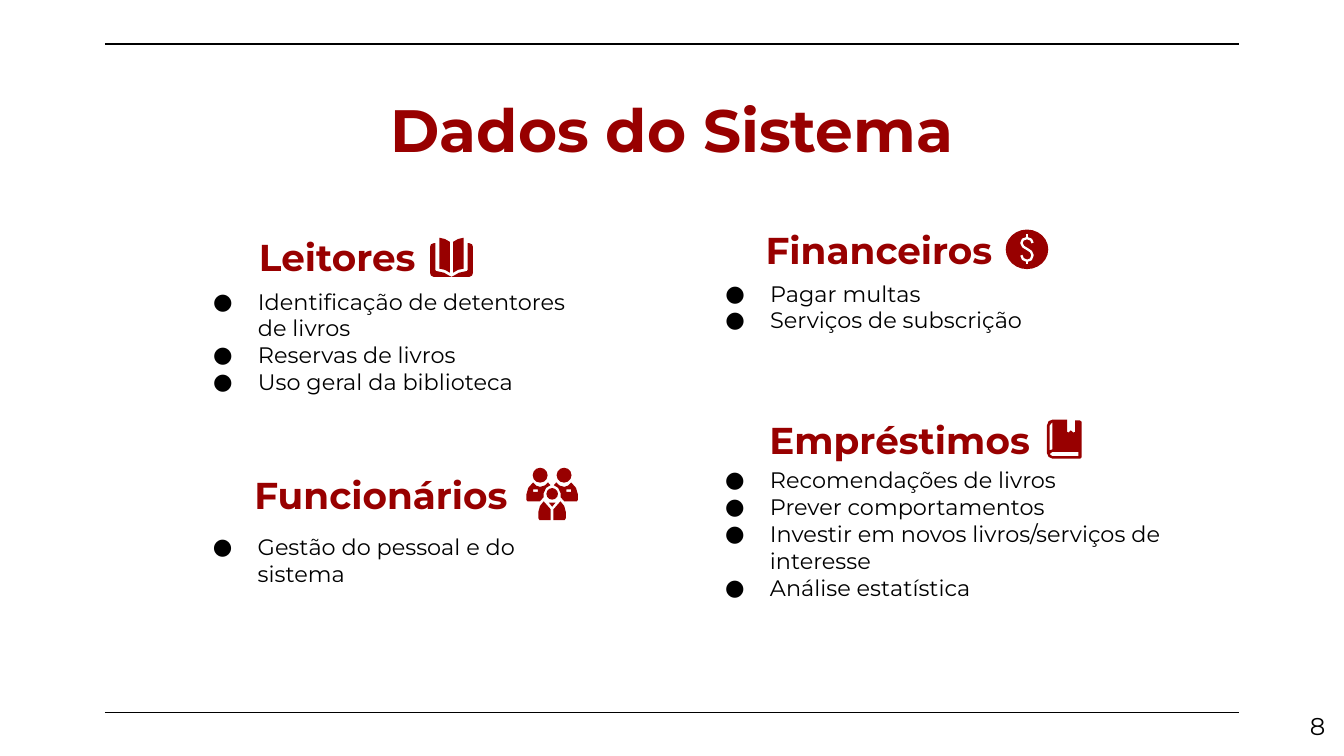
from lxml.etree import SubElement
from pptx import Presentation
from pptx.dml.color import RGBColor
from pptx.enum.shapes import MSO_CONNECTOR, MSO_SHAPE
from pptx.enum.text import MSO_ANCHOR, MSO_AUTO_SIZE, PP_ALIGN
from pptx.oxml.ns import qn
from pptx.util import Pt

COLORS = {"accent": "980000", "ink": "000000", "paper": "FFFFFF"}
FONT = "Montserrat"


def write(box, lines, area, size=12, color="ink", bold=False,
          align=PP_ALIGN.LEFT, anchor=MSO_ANCHOR.TOP, bullet=None):
    box.left, box.top, box.width, box.height = [Pt(value) for value in area]
    frame = box.text_frame
    frame.word_wrap = True
    frame.auto_size = MSO_AUTO_SIZE.NONE
    frame.vertical_anchor = anchor
    frame.margin_left = frame.margin_right = Pt(7.2)
    frame.margin_top = frame.margin_bottom = Pt(7.2)
    frame.text = "\n".join(lines)
    for para in frame.paragraphs:
        para.alignment = align
        para.line_spacing = 1.0
        para.space_before = para.space_after = Pt(0)
        span = para.runs[0]
        span.font.name = FONT
        span.font.size = Pt(size)
        span.font.bold = bold
        span.font.color.rgb = RGBColor.from_string(COLORS[color])
        if bullet:
            props = para._p.get_or_add_pPr()
            props.set("marL", str(Pt(36)))
            props.set("indent", str(Pt(-24)))
            SubElement(SubElement(props, qn("a:buClr")), qn("a:srgbClr"), val=COLORS[color])
            SubElement(props, qn("a:buFont"), typeface=FONT)
            SubElement(props, qn("a:buChar"), char=bullet)


def outline(x, y, contours, side=1, closed=True):
    placed = [[((x + side * dx) * 100, (y + dy) * 100) for dx, dy in contour]
              for contour in contours]
    builder = page.shapes.build_freeform(*placed[0][0], scale=Pt(1) / 100)
    builder.add_line_segments(placed[0][1:], close=closed)
    for contour in placed[1:]:
        builder.move_to(*contour[0])
        builder.add_line_segments(contour[1:], close=closed)
    shape = builder.convert_to_shape()
    shape.shadow.inherit = False
    if closed:
        shape.fill.solid()
        shape.fill.fore_color.rgb = RGBColor.from_string(COLORS["accent"])
        shape.line.fill.background()
    else:
        shape.fill.background()
        shape.line.color.rgb = RGBColor.from_string(COLORS["paper"])
        shape.line.width = Pt(1.25)


deck = Presentation()
deck.slide_width, deck.slide_height = Pt(720), Pt(405)
page = deck.slides.add_slide(deck.slide_layouts[4])

for y in (23.6, 381.6):
    rule = page.shapes.add_connector(MSO_CONNECTOR.STRAIGHT, Pt(56.2), Pt(y), Pt(663.8), Pt(y))
    rule.line.color.rgb = RGBColor.from_string(COLORS["ink"])
    rule.line.width = Pt(0.75)
    SubElement(rule._element.spPr, qn("a:effectLst"))

write(page.shapes.title, ["Dados do Sistema"], (56.2, 42.5, 607.6, 45.4),
      size=32, color="accent", bold=True, align=PP_ALIGN.CENTER)

sections = [
    ("Leitores", (108, 123.8, 145.4, 27.4), (95, 146.9, 221.8, 95),
     ["Identificação de detentores de livros", "Reservas de livros", "Uso geral da biblioteca"]),
    ("Financeiros", (398.2, 120.2, 145.4, 27.4), (369.4, 142.6, 194.4, 67.7),
     ["Pagar multas", "Serviços de subscrição"]),
    ("Funcionários", (126.7, 251.3, 154.8, 27.4), (95, 278.6, 224.6, 67.7),
     ["Gestão do pessoal e do sistema"]),
    ("Empréstimos", (404.6, 220, 154.8, 31), (369.4, 242.6, 275, 72.7),
     ["Recomendações de livros", "Prever comportamentos",
      "Investir em novos livros/serviços de interesse", "Análise estatística"]),
]
boxes = list(page.placeholders)[1:]
boxes += [page.shapes.add_textbox(0, 0, 0, 0) for _ in range(2 * len(sections) - len(boxes))]
for index, (heading, heading_area, list_area, items) in enumerate(sections):
    write(boxes[2 * index], [heading], heading_area, size=20, color="accent", bold=True,
          align=PP_ALIGN.CENTER, anchor=MSO_ANCHOR.MIDDLE)
    write(boxes[2 * index + 1], items, list_area, bullet="●")

write(page.shapes.add_textbox(0, 0, 0, 0), ["8"], (673.9, 373.7, 43.2, 31),
      size=13, align=PP_ALIGN.RIGHT)

book_leaf = [(0.9, 2.2), (3.5, 0.7), (6.5, 0), (6.5, 16.6), (3.5, 17.2), (0.9, 18.7)]
book_cover = [(8.6, 2.9), (9.6, 2.9), (11, 3.5), (11.5, 4.9), (11.5, 18.7), (11, 20.2),
              (9.6, 20.9), (0, 20.9), (1.4, 20.2), (4, 18.7), (7.2, 18), (8.2, 17.8), (8.6, 17.3)]
shoulders = [(0.9, 9.4), (2.2, 7.9), (4, 9.6), (6.5, 10.3), (8.6, 9.6), (10.2, 7.9),
             (12.8, 10.8), (13.8, 14.4), (13.8, 17.3), (13.2, 18), (6.5, 18),
             (4.6, 15.9), (4.6, 13.8), (3.2, 10.8)]
badge = [(7.6, 11.7), (10.2, 11.7), (10.2, 13), (7.6, 13)]
jacket = [(4.5, 18), (6.5, 20.5), (7.4, 23.8), (7.4, 27), (6.7, 28.1), (0.7, 28.1), (0.7, 22.3)]
tie = [(-1.8, 18.7), (1.8, 18.7), (0, 20.9)]
for side in (-1, 1):
    outline(241.9, 127.4, [book_leaf], side)
    outline(241.9, 127.4, [book_cover], side)
    outline(295.8, 250.6, [shoulders, badge], side)
    outline(295.8, 250.6, [jacket], side)
outline(295.8, 250.6, [tie])

closed_book = [(3, 0), (10.8, 0), (10.8, 6.6), (11.6, 7), (12.8, 5.8), (14.2, 7), (15.1, 6.6),
               (15.1, 0.4), (17.6, 0.4), (18.6, 1.2), (18.6, 20.2), (17.9, 20.9), (2.9, 20.9),
               (0.9, 20), (0, 18), (0, 3.2), (0.9, 0.9)]
spine = [(2.9, 1.4), (2.9, 16), (1.4, 16.4), (1.4, 3.2)]
page_edge = [(2.9, 17.3), (16.8, 17.3), (16.8, 19.6), (2.9, 19.6), (1.4, 18.5)]
outline(560.9, 224.8, [closed_book, spine, page_edge])

discs = [(550.2, 133.6, 11.4, 10.6), (295.8, 264.6, 3.1, 3.1),
         (289.4, 254.6, 4, 4), (302.2, 254.6, 4, 4)]
for x, y, radius_x, radius_y in discs:
    disc = page.shapes.add_shape(MSO_SHAPE.OVAL, Pt(x - radius_x), Pt(y - radius_y),
                                 Pt(2 * radius_x), Pt(2 * radius_y))
    disc.shadow.inherit = False
    disc.fill.solid()
    disc.fill.fore_color.rgb = RGBColor.from_string(COLORS["accent"])
    disc.line.fill.background()

dollar_curve = [(3, -3.4), (2.2, -5.2), (0, -6), (-2.2, -5.2), (-3, -3.4), (-2, -1.4), (0, -0.2),
                (2.1, 1.2), (3, 3.2), (2.1, 5.4), (0, 6.2), (-2.2, 5.2), (-3, 3.2)]
outline(550.2, 133.6, [dollar_curve, [(0, -8), (0, -6)], [(0, 6), (0, 8)]], closed=False)

deck.save("out.pptx")
